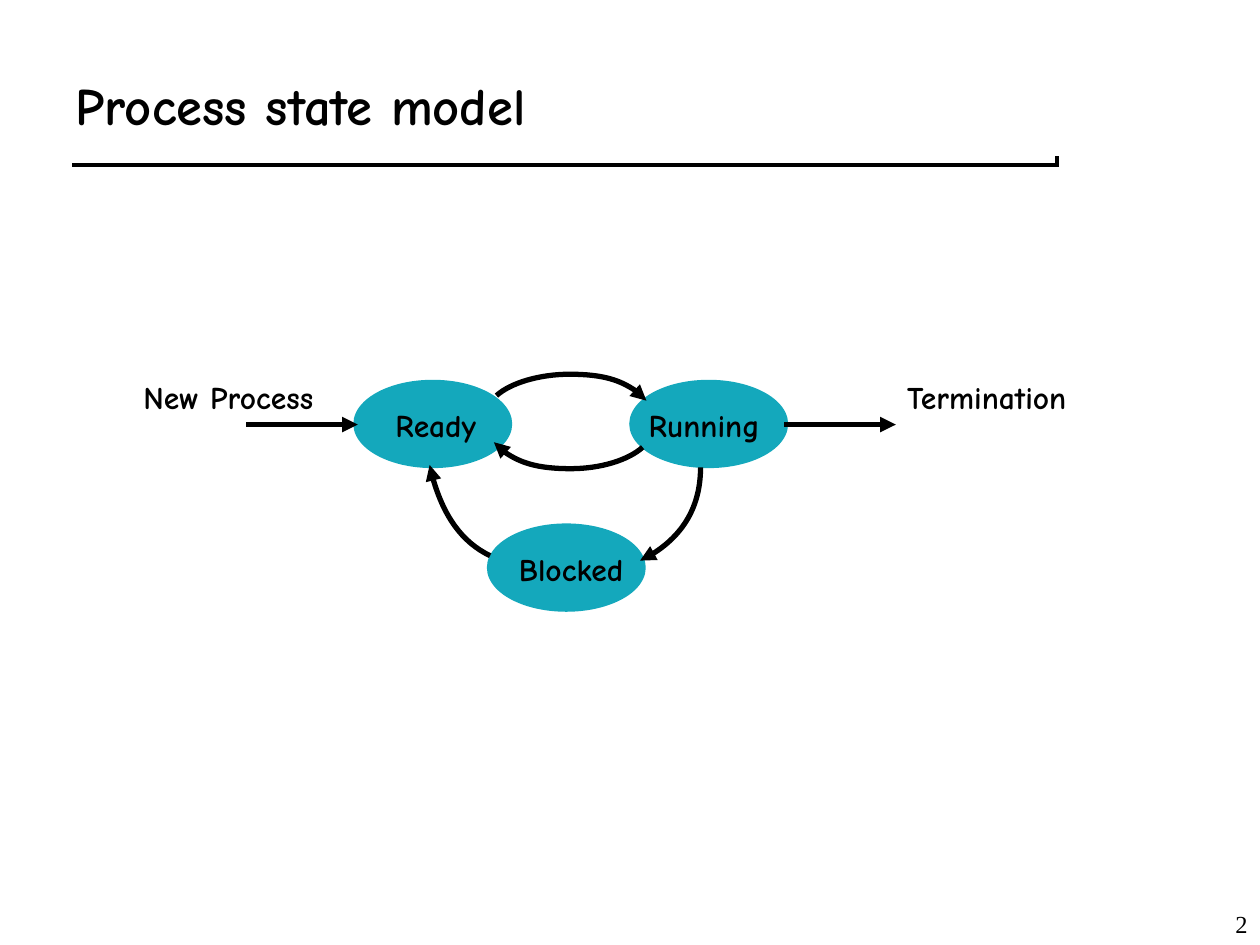
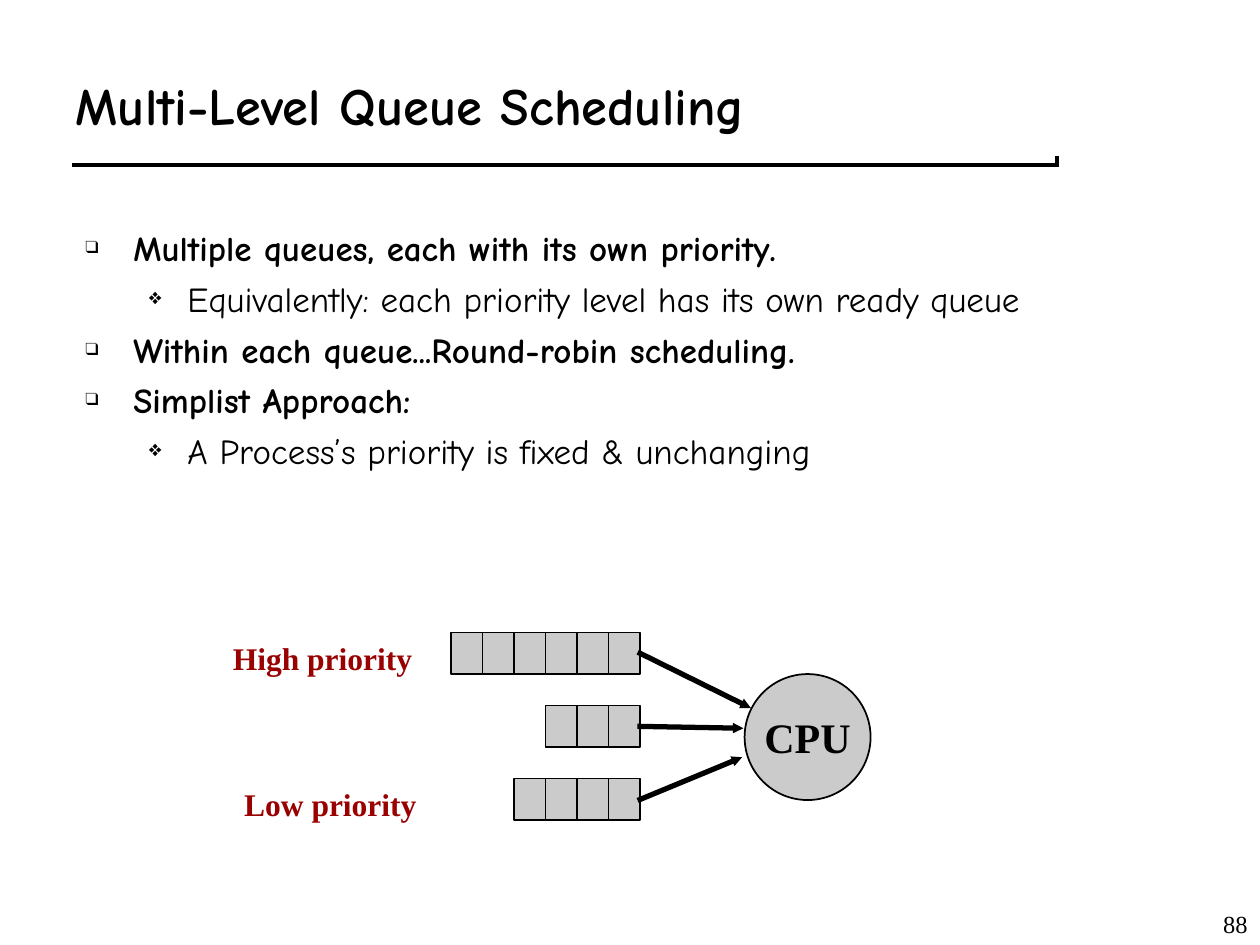
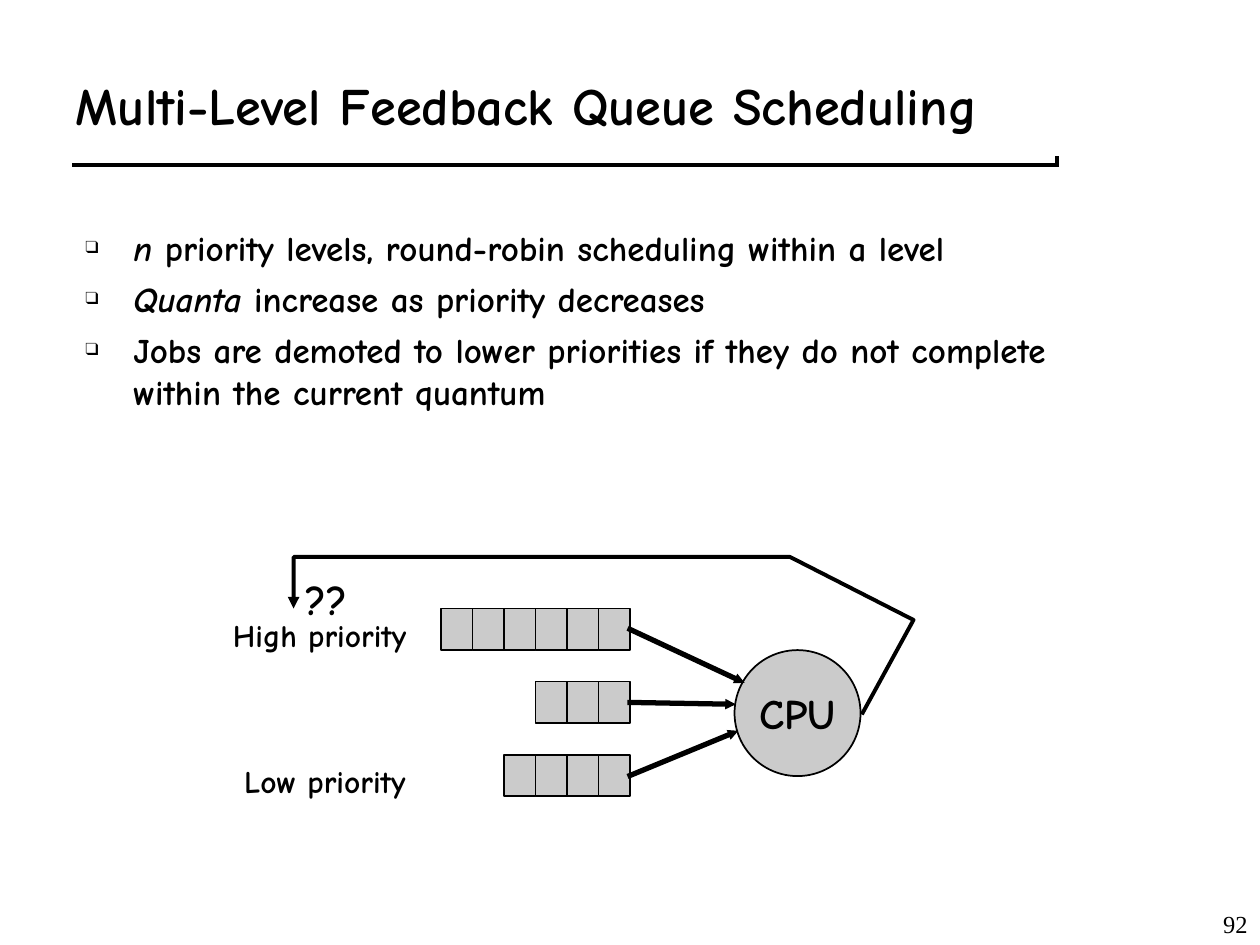
import pptx
import pptx.dml.color
import pptx.enum.shapes
import pptx.enum.text
import pptx.oxml
import pptx.oxml.ns
import pptx.util
from lxml import etree

COLORS = {"ink": "000000", "paper": "FFFFFF", "state": "14A8BC",
          "queue": "CBCBCB", "accent": "990000"}
COMIC = "Comic Neue"
TIMES = "Times New Roman"
FORMATS = {
    "title": {"name": COMIC, "size": pptx.util.Pt(30), "bold": True},
    "number": {"name": TIMES, "size": pptx.util.Pt(14), "bold": False},
    "label": {"name": COMIC, "size": pptx.util.Pt(18), "bold": True},
    "serif label": {"name": TIMES, "size": pptx.util.Pt(18), "bold": True},
    "large": {"name": COMIC, "size": pptx.util.Pt(24), "bold": True},
    "serif large": {"name": TIMES, "size": pptx.util.Pt(24), "bold": True},
    "point": {"name": COMIC, "size": pptx.util.Pt(20), "bold": True},
    "subpoint": {"name": COMIC, "size": pptx.util.Pt(20), "bold": False},
}
# Bullet character, left margin and hanging indent for each outline level
BULLETS = [("❑", 0.38, -0.38), ("❖", 0.81, -0.31)]

COLUMNS, ROWS = 10, 7.5
UNIT = pptx.util.Inches(1)
CELL_WIDTH, CELL_HEIGHT, QUEUE_PITCH = 0.25, 0.33, 0.58
QUEUE_LENGTHS = [6, 3, 4]
ALIGN = pptx.enum.text.PP_ALIGN
ANCHOR = pptx.enum.text.MSO_ANCHOR
FIT = pptx.enum.text.MSO_AUTO_SIZE
SHAPE = pptx.enum.shapes.MSO_SHAPE


def grid(*values):
    """Turn columns and rows of the grid into slide lengths."""
    return [round(value * UNIT) for value in values]


def rgb(color):
    return pptx.dml.color.RGBColor.from_string(COLORS[color])


def set_attributes(target, values):
    for name, value in values.items():
        setattr(target, name, value)


def add_run(paragraph, text, style, color="ink", **changes):
    run = paragraph.add_run()
    run.text = text
    set_attributes(run.font, {**FORMATS[style], **changes})
    run.font.color.rgb = rgb(color)


def add_text(slide, box, text, style, color="ink", align=ALIGN.LEFT, **frame_format):
    frame = slide.shapes.add_textbox(*grid(*box)).text_frame
    set_attributes(frame, {"word_wrap": True, **frame_format})
    frame.paragraphs[0].alignment = align
    add_run(frame.paragraphs[0], text, style, color)


def add_label(slide, box, text, style="label", color="ink"):
    add_text(slide, box, text, style, color, word_wrap=False,
             auto_size=FIT.SHAPE_TO_FIT_TEXT)


def add_shape(slide, kind, box, fill, line, width):
    shape = slide.shapes.add_shape(kind, *grid(*box))
    shape.shadow.inherit = False
    shape.fill.solid()
    shape.fill.fore_color.rgb = rgb(fill)
    set_line(shape, line, width)
    return shape


def set_line(shape, color, width, arrow=None):
    """Format a line; arrow is the size of its head, such as "sm" or "med"."""
    shape.line.color.rgb = rgb(color)
    shape.line.width = pptx.util.Pt(width)
    if arrow:
        etree.SubElement(shape.line._get_or_add_ln(), pptx.oxml.ns.qn("a:tailEnd"),
                         type="triangle", w=arrow, len=arrow)


def add_line(slide, start, end, color="ink", width=3, arrow="med"):
    connector = slide.shapes.add_connector(
        pptx.enum.shapes.MSO_CONNECTOR.STRAIGHT, *grid(*start, *end))
    set_line(connector, color, width, arrow)
    connector.line._get_or_add_ln().set("cap", "sq")
    etree.SubElement(connector._element.spPr, pptx.oxml.ns.qn("a:effectLst"))
    return connector


def add_open_arrow(slide, points, width):
    start, *others = [grid(*point) for point in points]
    builder = slide.shapes.build_freeform(*start)
    builder.add_line_segments(others, close=False)
    shape = builder.convert_to_shape()
    shape.shadow.inherit = False
    shape.fill.background()
    set_line(shape, "ink", width, "med")
    return shape


def add_curved_arrow(slide, points):
    """Draw a chain of Bézier curves: a start, then three points per curve."""
    shape = add_open_arrow(slide, points, 3)
    segments = list(shape._element.iter(pptx.oxml.ns.qn("a:lnTo")))
    for first in range(0, len(segments), 3):
        curve = etree.SubElement(segments[first].getparent(),
                                 pptx.oxml.ns.qn("a:cubicBezTo"))
        for segment in segments[first:first + 3]:
            curve.append(segment[0])
            segment.getparent().remove(segment)


def add_bullet(paragraph, level):
    character, margin, indent = BULLETS[level]
    properties = paragraph._p.get_or_add_pPr()
    for name, value in zip(("marL", "indent"), grid(margin, indent)):
        properties.set(name, str(value))
    namespace = pptx.oxml.ns.nsdecls("a")
    for xml in (f'<a:buClr {namespace}><a:srgbClr val="{COLORS["ink"]}"/></a:buClr>',
                f'<a:buSzPct {namespace} val="50000"/>',
                f'<a:buFont {namespace} typeface="{TIMES}"/>',
                f'<a:buChar {namespace} char="{character}"/>'):
        properties.append(pptx.oxml.parse_xml(xml))


def add_outline(slide, height, items):
    """Add bullets; each item is a level, an italic opening and the text."""
    frame = slide.shapes.add_textbox(*grid(0.58, 1.75, 8.5, height)).text_frame
    frame.word_wrap = True
    for index, (level, opening, text) in enumerate(items):
        paragraph = frame.add_paragraph() if index else frame.paragraphs[0]
        paragraph.level = level
        add_bullet(paragraph, level)
        if index:
            paragraph.space_before = pptx.util.Pt(5)
        style = ("point", "subpoint")[level]
        if opening:
            add_run(paragraph, opening, style, italic=True)
        add_run(paragraph, text, style)


def add_slide(presentation, title, number):
    """Add a slide with its title, the rule below it and the page number."""
    slide = presentation.slides.add_slide(presentation.slide_layouts[5])
    for color, left, top in (("ink", 0.61, 1.28), ("paper", 0.58, 1.25)):
        add_line(slide, (left, top), (left + 7.75, top), color, 6, arrow=None)
    placeholder = slide.shapes.title
    set_attributes(placeholder, dict(zip(("left", "top", "width", "height"),
                                         grid(0.5, 0.33, 8.58, 1))))
    frame = placeholder.text_frame
    set_attributes(frame, {"vertical_anchor": ANCHOR.MIDDLE, "word_wrap": True,
                           "auto_size": FIT.NONE})
    frame.paragraphs[0].alignment = ALIGN.LEFT
    add_run(frame.paragraphs[0], title, "title")
    add_text(slide, (COLUMNS - 2.08, ROWS - 0.5, 2.08, 0.5), number, "number",
             align=ALIGN.RIGHT, vertical_anchor=ANCHOR.BOTTOM)
    return slide


def add_queues(slide, right, top, cpu_style, arrow_ends):
    """Draw queues that end at a right edge, each with an arrow to the CPU."""
    cpu = add_shape(slide, SHAPE.OVAL, (right + 0.83, top + 0.33, 1, 1),
                    "queue", "ink", 1)
    set_attributes(cpu.text_frame, {"word_wrap": False,
                                    "vertical_anchor": ANCHOR.MIDDLE})
    paragraph = cpu.text_frame.paragraphs[0]
    paragraph.alignment = ALIGN.CENTER
    add_run(paragraph, "CPU", cpu_style)
    for row, (length, end) in enumerate(zip(QUEUE_LENGTHS, arrow_ends)):
        queue_top = top + row * QUEUE_PITCH
        for position in range(length, 0, -1):
            cell = add_shape(slide, SHAPE.RECTANGLE,
                             (right - position * CELL_WIDTH, queue_top,
                              CELL_WIDTH, CELL_HEIGHT), "queue", "ink", 1)
        arrow = add_line(slide, (right, queue_top + CELL_HEIGHT / 2), end,
                         arrow="sm")
        arrow.begin_connect(cell, 3)


def add_priorities(slide, top, style, color="ink"):
    add_label(slide, (1.75, top, 1.65, 0.4), "High priority", style, color)
    add_label(slide, (1.84, top + 2 * QUEUE_PITCH, 1.6, 0.4), "Low priority",
              style, color)


def add_state_slide(presentation):
    slide = add_slide(presentation, "Process state model", "2")
    for left, top in ((2.82, 3.03), (5.01, 3.03), (3.88, 4.17)):
        add_shape(slide, SHAPE.OVAL, (left, top, 1.23, 0.67), "state", "state", 2.25)
    for text, left, top, width in (("New Process", 1.04, 2.95, 1.55),
                                   ("Ready", 3.04, 3.17, 0.84),
                                   ("Blocked", 4.02, 4.32, 1.03),
                                   ("Running", 5.05, 3.17, 1.08),
                                   ("Termination", 7.1, 2.95, 1.48)):
        add_label(slide, (left, top, width, 0.4), text)
    for left in (1.97, 6.24):
        add_line(slide, (left, 3.37), (left + 0.87, 3.37))
    ready_to_running = [(3.94, 3.14), (4.05, 3.04), (4.28, 2.97), (4.52, 2.97),
                        (4.79, 2.97), (5.03, 3.05), (5.13, 3.18)]
    running_to_ready = [(5.1, 3.55), (4.99, 3.65), (4.77, 3.72), (4.53, 3.72),
                        (4.26, 3.72), (4.02, 3.64), (3.92, 3.51)]
    running_to_blocked = [(5.56, 3.71), (5.56, 4.03), (5.37, 4.32), (5.08, 4.45)]
    blocked_to_ready = [(3.89, 4.41), (3.66, 4.3), (3.48, 4.03), (3.41, 3.69)]
    for points in (ready_to_running, running_to_ready,
                   running_to_blocked, blocked_to_ready):
        add_curved_arrow(slide, points)


def add_queue_slide(presentation):
    slide = add_slide(presentation, "Multi-Level Queue Scheduling", "88")
    add_outline(slide, 3.42, [
        (0, "", "Multiple queues, each with its own priority."),
        (1, "", "Equivalently: each priority level has its own ready queue"),
        (0, "", "Within each queue...Round-robin scheduling."),
        (0, "", "Simplist Approach:"),
        (1, "", "A Process’s priority is fixed & unchanging"),
    ])
    add_queues(slide, 5.08, 5.02, "serif large",
               [(5.96, 5.62), (5.9, 5.78), (5.89, 6.01)])
    add_priorities(slide, 5.02, "serif label", "accent")


def add_feedback_slide(presentation):
    slide = add_slide(presentation, "Multi-Level Feedback Queue Scheduling", "92")
    add_outline(slide, 2.72, [
        (0, "n", " priority levels, round-robin scheduling within a level"),
        (0, "Quanta ", "increase as priority decreases"),
        (0, "", "Jobs are demoted to lower priorities if they do not complete "
                "within the current quantum"),
    ])
    add_queues(slide, 5, 4.83, "large", [(5.91, 5.42), (5.84, 5.59), (5.86, 5.8)])
    add_priorities(slide, 4.84, "label")
    add_open_arrow(slide, [(6.84, 5.67), (7.25, 4.92), (6.27, 4.42),
                           (2.33, 4.42), (2.33, 4.83)], 2.25)
    add_text(slide, (2.33, 4.5, 0.58, 0.5), "??", "large",
             auto_size=FIT.SHAPE_TO_FIT_TEXT)


def main():
    presentation = pptx.Presentation()
    presentation.slide_width, presentation.slide_height = grid(COLUMNS, ROWS)
    add_state_slide(presentation)
    add_queue_slide(presentation)
    add_feedback_slide(presentation)
    presentation.save("out.pptx")


if __name__ == "__main__":
    main()
